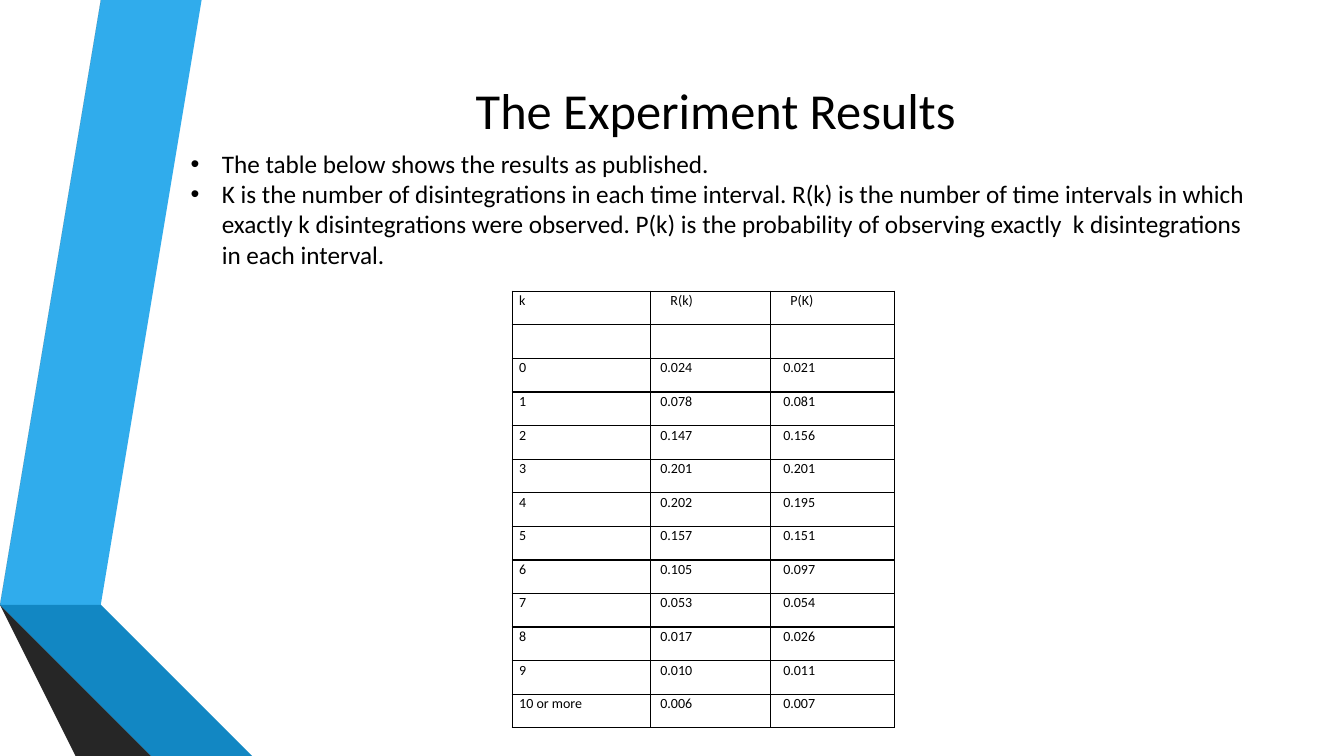
from pptx import Presentation
from pptx.dml.color import RGBColor
from pptx.enum.text import MSO_ANCHOR, MSO_AUTO_SIZE, PP_ALIGN
from pptx.oxml import parse_xml
from pptx.oxml.ns import nsdecls
from pptx.util import Inches, Pt

TITLE = "The Experiment Results"
BULLETS = [
    "The table below shows the results as published.",
    "K is the number of disintegrations in each time interval. R(k) is the number of time intervals "
    "in which exactly k disintegrations were observed. P(k) is the probability of observing exactly  "
    "k disintegrations in each interval.",
]
RESULTS = [
    ("k", "R(k)", "P(K)"),
    ("", "", ""),
    ("0", "0.024", "0.021"),
    ("1", "0.078", "0.081"),
    ("2", "0.147", "0.156"),
    ("3", "0.201", "0.201"),
    ("4", "0.202", "0.195"),
    ("5", "0.157", "0.151"),
    ("6", "0.105", "0.097"),
    ("7", "0.053", "0.054"),
    ("8", "0.017", "0.026"),
    ("9", "0.010", "0.011"),
    ("10 or more", "0.006", "0.007"),
]
COLORS = {
    "text": "000000",
    "blue": "30ACEC",
    "blue fold": "1287C3",
    "blue edge": "0C5A82",
    "gray": "595959",
    "gray fold": "404040",
    "gray edge": "262626",
}
WIDTH, HEIGHT = 13.33, 7.5
RIBBONS = [
    ("blue", [(0.5, 5.78), (0.77, 5.83), (1.73, 0), (1.45, 0)]),
    ("gray", [(1.39, 0), (1.11, 0), (0.16, 5.73), (0.44, 5.77)]),
    ("gray edge", [(0.16, 5.73), (1.45, HEIGHT), (1.51, HEIGHT)]),
    ("blue edge", [(0.5, 5.79), (2.08, HEIGHT), (2.14, HEIGHT)]),
    ("blue fold", [(0.5, 5.79), (2.14, HEIGHT), (2.83, HEIGHT), (0.77, 5.83), (0.5, 5.78)]),
    ("gray fold", [(2.02, HEIGHT), (0.48, 5.83), (0.43, 5.77), (0.16, 5.73), (1.51, HEIGHT)]),
]
TITLE_BOX = (1.62, 0.75, 10.96, 0.67)
BODY_BOX = (1.29, 1.42, 11.29, 1.31)
TABLE_LEFT, TABLE_TOP, TABLE_HEIGHT = 5.08, 2.89, 4.33
COLUMN_WIDTHS = (1.37, 1.19, 1.23)
CELL_INSET = 0.07
HEADER_INSETS = (0.07, 0.2, 0.2)
VALUE_INSETS = (0.07, 0.1, 0.13)


def color(name):
    return RGBColor.from_string(COLORS[name])


def place(shape, box):
    shape.left, shape.top, shape.width, shape.height = map(Inches, box)


def style(paragraph, size):
    paragraph.font.name = "Calibri"
    paragraph.font.size = Pt(size)
    paragraph.font.color.rgb = color("text")


def add_ribbon(slide, name, points):
    builder = slide.shapes.build_freeform(*points[0], scale=Inches(1))
    builder.add_line_segments(points[1:], close=True)
    shape = builder.convert_to_shape()
    shape.shadow.inherit = False
    shape.fill.solid()
    shape.fill.fore_color.rgb = color(name)
    shape.line.fill.background()


def fill_title(title):
    place(title, TITLE_BOX)
    title.text_frame.text = TITLE
    title.text_frame.vertical_anchor = MSO_ANCHOR.MIDDLE
    paragraph = title.text_frame.paragraphs[0]
    paragraph.alignment = PP_ALIGN.CENTER
    style(paragraph, 36)


def fill_body(body):
    place(body, BODY_BOX)
    frame = body.text_frame
    frame.text = "\n".join(BULLETS)
    frame.auto_size = MSO_AUTO_SIZE.SHAPE_TO_FIT_TEXT
    for paragraph in frame.paragraphs:
        paragraph.level = 1
        paragraph.space_before = Pt(0)
        properties = paragraph._p.get_or_add_pPr()
        properties.set("marL", str(Inches(0.81)))
        properties.set("indent", str(-Inches(0.31)))
        properties.append(parse_xml(f'<a:buFont {nsdecls("a")} typeface="Arial"/>'))
        properties.append(parse_xml(f'<a:buChar {nsdecls("a")} char="•"/>'))
        style(paragraph, 18)


def fill_cell(cell, text, inset):
    cell.text = text
    cell.margin_left, cell.margin_right = Inches(inset), Inches(CELL_INSET)
    cell.margin_top = cell.margin_bottom = 0
    paragraph = cell.text_frame.paragraphs[0]
    paragraph.line_spacing = 1.07
    style(paragraph, 10)
    properties = cell._tc.get_or_add_tcPr()
    for side in ("lnL", "lnR", "lnT", "lnB"):
        properties.append(parse_xml(
            f'<a:{side} {nsdecls("a")} w="{Pt(1)}"><a:solidFill>'
            f'<a:srgbClr val="{COLORS["text"]}"/></a:solidFill></a:{side}>'))
    cell.fill.background()


def add_results(slide):
    table = slide.shapes.add_table(
        len(RESULTS), len(COLUMN_WIDTHS), Inches(TABLE_LEFT), Inches(TABLE_TOP),
        Inches(sum(COLUMN_WIDTHS)), Inches(TABLE_HEIGHT)).table
    table.first_row = table.horz_banding = False
    for column, width in zip(table.columns, COLUMN_WIDTHS):
        column.width = Inches(width)
    for row_index, values in enumerate(RESULTS):
        insets = VALUE_INSETS if row_index else HEADER_INSETS
        for column_index, (value, inset) in enumerate(zip(values, insets)):
            fill_cell(table.cell(row_index, column_index), value, inset)


def main():
    presentation = Presentation()
    presentation.slide_width, presentation.slide_height = Inches(WIDTH), Inches(HEIGHT)
    slide = presentation.slides.add_slide(presentation.slide_layouts[1])
    for name, points in RIBBONS:
        add_ribbon(slide, name, points)
    fill_title(slide.shapes.title)
    add_results(slide)
    fill_body(slide.placeholders[1])
    presentation.save("out.pptx")


if __name__ == "__main__":
    main()
